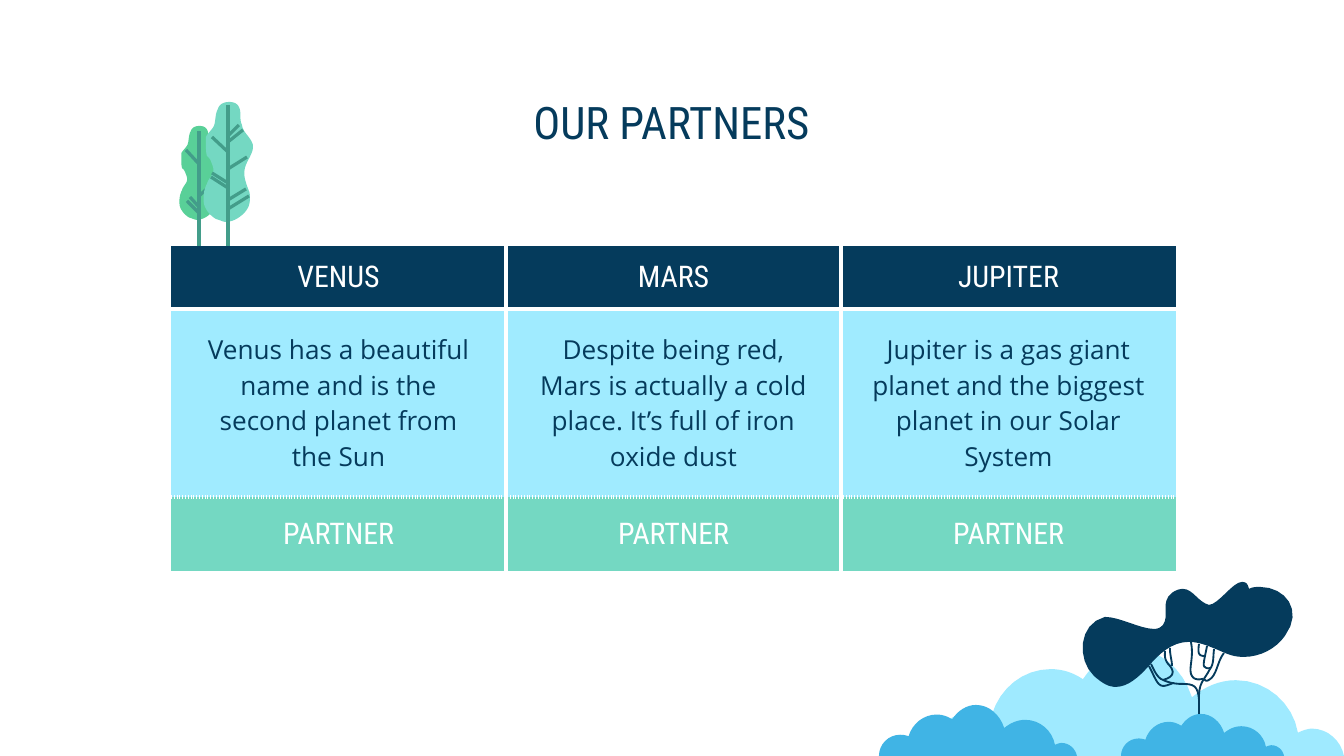
from lxml.etree import SubElement
from pptx import Presentation
from pptx.dml.color import RGBColor
from pptx.enum.shapes import MSO_CONNECTOR
from pptx.enum.text import MSO_ANCHOR, PP_ALIGN
from pptx.oxml.ns import qn
from pptx.util import Emu, Pt

PX = 914400 / 134.4
NAVY = RGBColor(0x05, 0x3B, 0x5C)
SKY = RGBColor(0x9F, 0xEA, 0xFF)
CELL_BLUE = RGBColor(0xA0, 0xEB, 0xFF)
BLUE = RGBColor(0x40, 0xB4, 0xE5)
GREEN = RGBColor(0x59, 0xD0, 0x98)
MINT = RGBColor(0x74, 0xD8, 0xC2)
STEM = RGBColor(0x43, 0x9D, 0x8A)
WHITE = RGBColor(0xFF, 0xFF, 0xFF)
HEAD_FONT = "Roboto Condensed"
BODY_FONT = "Open Sans"
NO_STYLE = "{2D5ABB26-0587-4C30-8999-92F81FD0307C}"

CLOUD_SIZE = (414, 106)
CLOUD = [
    (203, 0), (230, 0, 253, 20, 262, 48), (274, 38, 289, 31, 306, 31),
    (337, 31, 363, 54, 368, 83), (372, 81, 378, 79, 382, 79),
    (398, 79, 411, 91, 414, 106), (0, 106), (0, 82, 20, 62, 44, 62),
    (51, 62, 56, 63, 62, 65), (70, 39, 93, 20, 121, 20),
    (133, 20, 144, 24, 153, 30), (165, 12, 183, 0, 203, 0),
]
LEAF_SIZE = (51, 120)
LEAF = [
    (26, 0), (30, 0, 34, 1, 36, 5), (39, 11, 36, 17, 39, 23),
    (40, 31, 48, 35, 50, 43), (51, 51, 44, 58, 42, 66),
    (40, 74, 43, 81, 46, 89), (47, 91, 47, 94, 47, 97),
    (47, 101, 46, 105, 43, 109), (39, 114, 31, 120, 23, 120),
    (20, 120, 17, 118, 13, 117), (8, 114, 3, 109, 1, 102),
    (0, 95, 1, 87, 4, 82), (5, 78, 8, 75, 9, 73),
    (11, 70, 11, 66, 9, 62), (8, 59, 7, 56, 4, 54),
    (3, 50, 3, 46, 3, 42), (3, 39, 3, 36, 3, 35),
    (5, 31, 9, 28, 11, 24), (13, 19, 12, 12, 15, 7),
    (16, 3, 20, 0, 26, 0),
]
CANOPY = [
    (165, 0), (156, 0, 141, 23, 132, 23), (121, 20, 116, 7, 106, 7),
    (103, 7, 99, 8, 95, 11), (83, 20, 93, 34, 86, 43),
    (83, 46, 81, 47, 77, 47), (63, 47, 43, 35, 28, 35),
    (1, 42, 0, 78, 17, 94), (26, 102, 32, 105, 39, 105),
    (51, 105, 62, 95, 71, 85), (82, 72, 95, 60, 112, 60),
    (124, 60, 136, 66, 148, 71), (155, 74, 160, 75, 167, 75),
    (183, 75, 199, 67, 208, 54), (227, 28, 208, 5, 183, 5),
    (179, 5, 176, 5, 172, 7), (171, 1, 168, 0, 165, 0),
]
BRANCHES = [
    [(122, 173), (122, 120), (121, 100, 127, 99, 133, 87), (137, 82, 136, 75, 137, 67)],
    [(122, 118), (121, 104, 117, 102, 105, 102), (96, 102, 90, 100, 86, 98),
     (80, 96, 77, 88, 74, 82)],
    [(72, 84), (77, 93, 80, 104, 86, 104), (90, 104, 93, 102, 97, 101)],
    [(86, 98), (98, 95, 97, 89, 93, 84), (87, 78, 88, 74, 88, 69)],
    [(93, 66), (93, 74, 95, 78, 95, 84)],
    [(114, 60), (117, 75, 112, 85, 114, 92), (116, 98, 121, 98, 126, 97)],
    [(122, 62), (121, 70, 121, 74, 127, 74)],
    [(130, 64), (128, 75, 125, 85, 128, 85), (130, 87, 132, 86, 134, 86)],
    [(147, 71), (140, 80, 140, 94, 132, 98), (129, 100, 128, 98, 127, 97)],
]
COLUMNS = [
    ("VENUS", "Venus has a beautiful name and is the second planet from the Sun", "PARTNER"),
    ("MARS", "Despite being red, Mars is actually a cold place. It’s full of iron oxide dust", "PARTNER"),
    ("JUPITER", "Jupiter is a gas giant planet and the biggest planet in our Solar System", "PARTNER"),
]
ROWS = [
    (63, NAVY, HEAD_FONT, 16, WHITE),
    (188, CELL_BLUE, BODY_FONT, 14, NAVY),
    (74, MINT, HEAD_FONT, 16, WHITE),
]


def px(n):
    return Emu(round(n * PX))


def trace(path, steps=8):
    points = [path[0]]
    for seg in path[1:]:
        if len(seg) == 2:
            points.append(seg)
            continue
        nodes = [points[-1], seg[:2], seg[2:4], seg[4:]]
        for i in range(1, steps + 1):
            t = i / steps
            weights = ((1 - t) ** 3, 3 * t * (1 - t) ** 2, 3 * t * t * (1 - t), t ** 3)
            points.append(tuple(sum(w * n[k] for w, n in zip(weights, nodes)) for k in (0, 1)))
    return points


def add_outline(s, box, size, path, color, closed=True):
    x, y, w, h = box
    points = [(px(x + a * w / size[0]), px(y + b * h / size[1])) for a, b in trace(path)]
    builder = s.shapes.build_freeform(*points[0])
    builder.add_line_segments(points[1:], close=closed)
    sp = builder.convert_to_shape()
    sp.shadow.inherit = False
    if closed:
        sp.fill.solid()
        sp.fill.fore_color.rgb = color
        sp.line.fill.background()
    else:
        sp.fill.background()
        sp.line.color.rgb = color
        sp.line.width = Pt(1)


def add_stem(s, x1, y1, x2, y2):
    c = s.shapes.add_connector(MSO_CONNECTOR.STRAIGHT, px(x1), px(y1), px(x2), px(y2))
    c.line.color.rgb = STEM
    c.line.width = Pt(1.73)
    SubElement(c._element.spPr, qn("a:effectLst"))


def add_leaf(s, box, color, trunk, veins):
    x, y, w, h = box
    add_outline(s, box, LEAF_SIZE, LEAF, color)
    mid = x + w // 2
    add_stem(s, mid, y + trunk[0], mid, y + trunk[1])
    for tip_x, tip_y, base_y in veins:
        add_stem(s, x + tip_x, y + tip_y, mid, y + base_y)


def add_tree(s, box):
    add_outline(s, box, box[2:], CANOPY, NAVY)
    for branch in BRANCHES:
        add_outline(s, box, box[2:], branch, NAVY, closed=False)


def add_title(s, box):
    sp = s.shapes.title
    sp.left, sp.top, sp.width, sp.height = map(px, box)
    tf = sp.text_frame
    tf.text = "OUR PARTNERS"
    tf.vertical_anchor = MSO_ANCHOR.TOP
    tf.margin_left = tf.margin_right = tf.margin_top = tf.margin_bottom = Pt(7.2)
    p = tf.paragraphs[0]
    p.alignment = PP_ALIGN.CENTER
    format_font(p.runs[0].font, HEAD_FONT, 24, NAVY)


def format_font(font, name, size, color):
    font.name = name
    font.size = Pt(size)
    font.bold = False
    font.color.rgb = color


def add_borders(cell, row, col):
    sides = [
        ("a:lnL", col > 0, "solid"),
        ("a:lnR", col < len(COLUMNS) - 1, "solid"),
        ("a:lnT", row > 0, "sysDot" if row == 2 else "solid"),
        ("a:lnB", row < len(ROWS) - 1, "sysDot" if row == 1 else "solid"),
    ]
    tcPr = cell._tc.get_or_add_tcPr()
    for i, (tag, inner, dash) in enumerate(sides):
        ln = SubElement(tcPr, qn(tag), w=str(Pt(2.25)))
        if inner:
            fill = SubElement(ln, qn("a:solidFill"))
            SubElement(fill, qn("a:srgbClr"), val=str(WHITE))
            SubElement(ln, qn("a:prstDash"), val=dash)
        else:
            SubElement(ln, qn("a:noFill"))
        tcPr.insert(i, ln)


def add_partner_table(s, box):
    table = s.shapes.add_table(len(ROWS), len(COLUMNS), *map(px, box)).table
    table.first_row = table.horz_banding = False
    table._tbl.tblPr.find(qn("a:tableStyleId")).text = NO_STYLE
    for col, texts in enumerate(COLUMNS):
        table.columns[col].width = px(box[2] // len(COLUMNS))
        for row, (height, fill, font, size, color) in enumerate(ROWS):
            table.rows[row].height = px(height)
            cell = table.cell(row, col)
            cell.text = texts[row]
            cell.vertical_anchor = MSO_ANCHOR.MIDDLE
            cell.margin_left = cell.margin_right = cell.margin_top = cell.margin_bottom = Pt(7.2)
            cell.fill.solid()
            cell.fill.fore_color.rgb = fill
            add_borders(cell, row, col)
            p = cell.text_frame.paragraphs[0]
            p.alignment = PP_ALIGN.CENTER
            pPr = p._p.get_or_add_pPr()
            pPr.set("marL", str(Pt(7.2)))
            pPr.set("marR", str(Pt(7.2)))
            format_font(p.runs[0].font, font, size, color)


def main():
    prs = Presentation()
    prs.slide_width, prs.slide_height = px(1344), px(756)
    s = prs.slides.add_slide(prs.slide_layouts[5])
    add_title(s, (105, 81, 1133, 71))
    add_outline(s, (930, 649, 414, 107), CLOUD_SIZE, CLOUD, SKY)
    add_tree(s, (1077, 582, 227, 173))
    for box in ((879, 705, 198, 51), (1121, 714, 163, 42)):
        add_outline(s, box, CLOUD_SIZE, CLOUD, BLUE)
    add_leaf(s, (179, 126, 40, 94), GREEN, (5, 128),
             [(7, 24, 38), (31, 60, 70), (8, 75, 87), (11, 71, 81)])
    add_leaf(s, (203, 102, 51, 120), MINT, (3, 152),
             [(36, 23, 34), (40, 28, 40), (44, 55, 67), (43, 87, 98),
              (46, 94, 107), (9, 35, 50), (9, 71, 81), (8, 75, 86)])
    add_partner_table(s, (171, 246, 1005, 325))
    prs.save("out.pptx")


if __name__ == "__main__":
    main()
